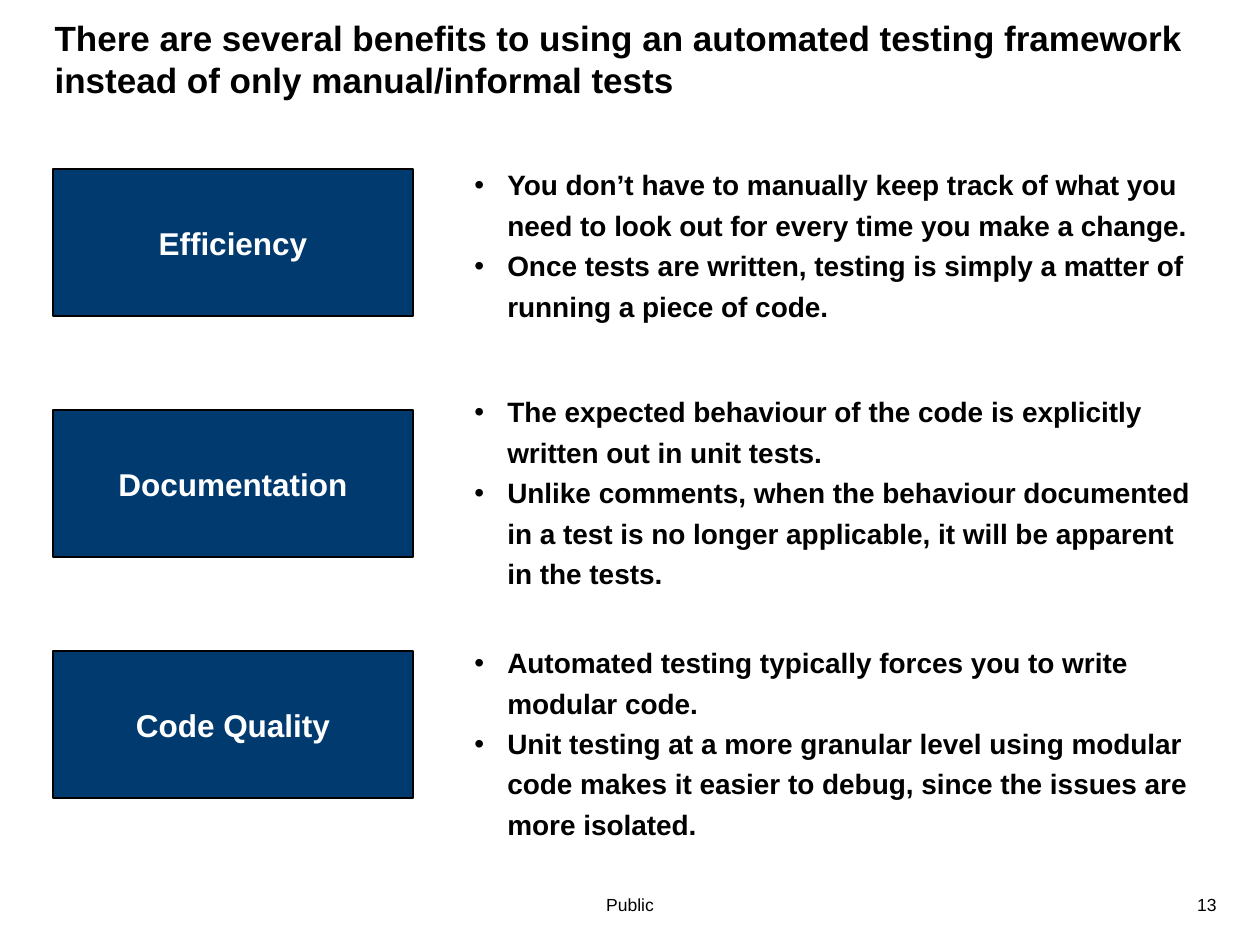
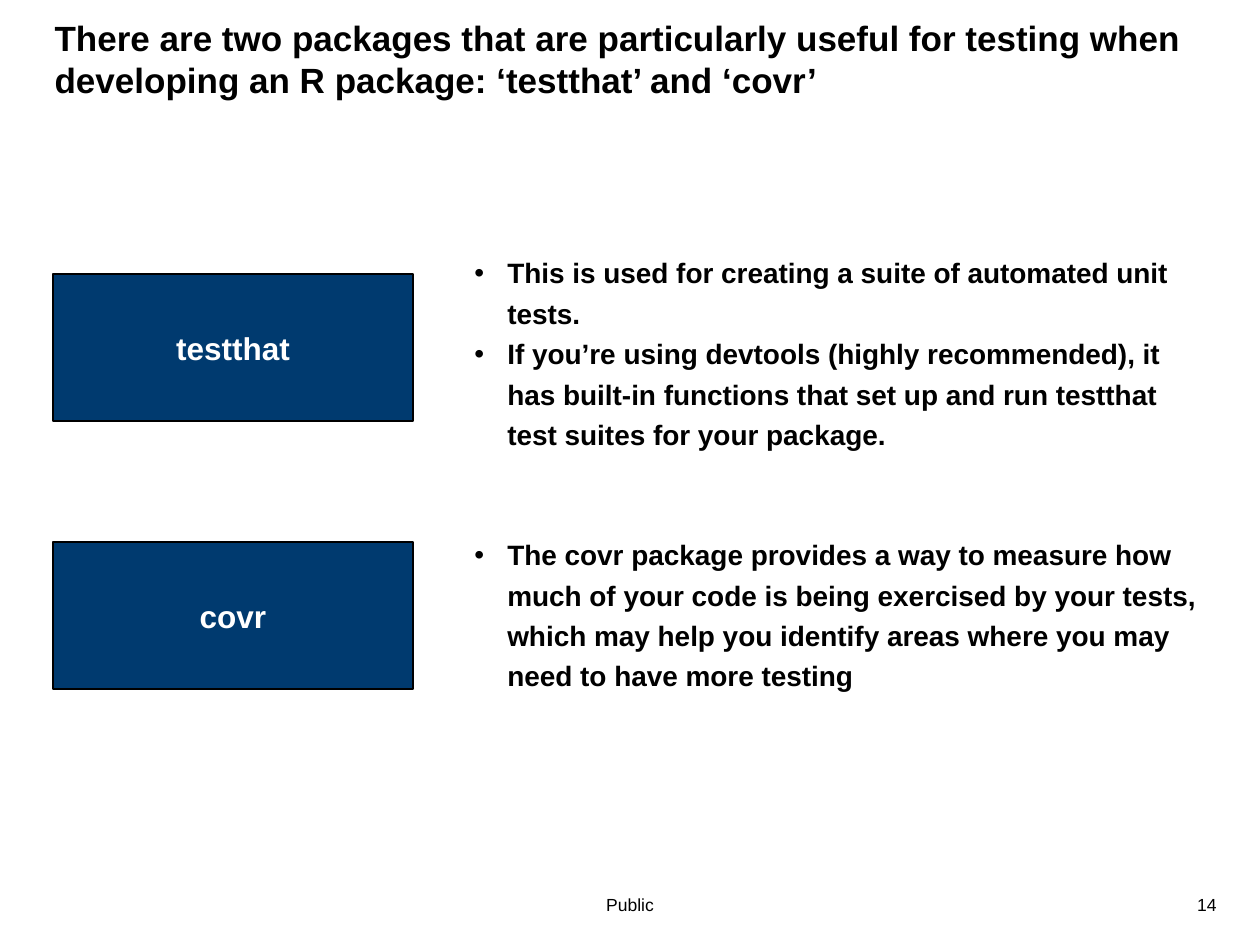
from lxml import etree
from pptx import Presentation, util as u
from pptx.dml.color import RGBColor
from pptx.enum import shapes, text
from pptx.oxml.ns import qn

# Content: each topic is (label, top of its points in px, points)
SLIDES = [
    {
        "title": "There are several benefits to using an automated testing framework "
                 "instead of only manual/informal tests",
        "number": 13, "first_label_top": 169, "label_pitch": 241,
        "topics": [
            ("Efficiency", 155, [
                "You don’t have to manually keep track of what you need to look out "
                "for every time you make a change.",
                "Once tests are written, testing is simply a matter of running a piece of code.",
            ]),
            ("Documentation", 382, [
                "The expected behaviour of the code is explicitly written out in unit tests.",
                "Unlike comments, when the behaviour documented in a test is no longer "
                "applicable, it will be apparent in the tests.",
            ]),
            ("Code Quality", 633, [
                "Automated testing typically forces you to write modular code.",
                "Unit testing at a more granular level using modular code makes it easier "
                "to debug, since the issues are more isolated.",
            ]),
        ],
    },
    {
        "title": "There are two packages that are particularly useful for testing when "
                 "developing an R package: ‘testthat’ and ‘covr’",
        "number": 14, "first_label_top": 274, "label_pitch": 268,
        "topics": [
            ("testthat", 243, [
                "This is used for creating a suite of automated unit tests.",
                "If you’re using devtools (highly recommended), it has built-in functions "
                "that set up and run testthat test suites for your package.",
            ]),
            ("covr", 525, [
                "The covr package provides a way to measure how much of your code is being "
                "exercised by your tests, which may help you identify areas where you may "
                "need to have more testing",
            ]),
        ],
    },
]
FOOTER = "Public"

# Shared style
COLORS = {"label": "003A6F", "ink": "000000", "paper": "FFFFFF"}
FONT = "Arial"
EMU_PER_PX = 914400 / 126
SLIDE_SIZE = (1260, 945)
TITLE_BOX = (42, 10, 1163, 97)
FOOTER_BOX = (252, 888, 756, 34)
NUMBER_BOX = (1172, 888, 57, 34)
LABEL_LEFT, LABEL_WIDTH, LABEL_HEIGHT = 53, 360, 147
POINTS_LEFT, POINTS_WIDTH, POINTS_HEIGHT = 462, 756, 200
POINT_INDENT = 33
ALIGN = text.PP_ALIGN


def px(length):
    return u.Emu(round(length * EMU_PER_PX))


def color(name):
    return RGBColor.from_string(COLORS[name])


def style(frame, size, ink="ink", bold=False, align=ALIGN.LEFT):
    frame.word_wrap = True
    for paragraph in frame.paragraphs:
        paragraph.alignment = align
        for run in paragraph.runs:
            run.font.name, run.font.size, run.font.bold = FONT, u.Pt(size), bold
            run.font.color.rgb = color(ink)


def add_title(slide, wording):
    title = slide.shapes.title
    title.left, title.top, title.width, title.height = map(px, TITLE_BOX)
    frame = title.text_frame
    frame.text = wording
    frame.vertical_anchor = text.MSO_ANCHOR.TOP
    frame.auto_size = text.MSO_AUTO_SIZE.NONE
    style(frame, 20, bold=True)


def add_small_text(slide, box, wording, align):
    frame = slide.shapes.add_textbox(*map(px, box)).text_frame
    frame.text = wording
    style(frame, 10, align=align)


def add_label(slide, top, wording):
    label = slide.shapes.add_shape(
        shapes.MSO_SHAPE.RECTANGLE,
        *map(px, (LABEL_LEFT, top, LABEL_WIDTH, LABEL_HEIGHT)))
    label.shadow.inherit = False
    label.fill.solid()
    label.fill.fore_color.rgb = color("label")
    label.line.color.rgb = color("ink")
    label.line.width = u.Pt(0.75)
    frame = label.text_frame
    frame.text = wording
    frame.vertical_anchor = text.MSO_ANCHOR.MIDDLE
    frame.margin_left = frame.margin_right = u.Inches(0.05)
    style(frame, 18, "paper", True, ALIGN.CENTER)


def add_points(slide, top, points):
    box = slide.shapes.add_textbox(
        *map(px, (POINTS_LEFT, top, POINTS_WIDTH, POINTS_HEIGHT)))
    frame = box.text_frame
    frame.text = "\n".join(points)
    style(frame, 16, bold=True)
    for paragraph in frame.paragraphs:
        paragraph.line_spacing = 1.2
        paragraph.space_before = u.Pt(0.2)
        # Hanging bullet
        props = paragraph._p.get_or_add_pPr()
        props.set("marL", str(px(POINT_INDENT)))
        props.set("indent", str(-px(POINT_INDENT)))
        etree.SubElement(props, qn("a:buFont")).set("typeface", FONT)
        etree.SubElement(props, qn("a:buChar")).set("char", "•")


def main():
    prs = Presentation()
    prs.slide_width, prs.slide_height = map(px, SLIDE_SIZE)
    title_only = prs.slide_layouts[5]
    for content in SLIDES:
        slide = prs.slides.add_slide(title_only)
        add_title(slide, content["title"])
        for row, (label, points_top, points) in enumerate(content["topics"]):
            add_label(slide, content["first_label_top"] + row * content["label_pitch"], label)
            add_points(slide, points_top, points)
        add_small_text(slide, FOOTER_BOX, FOOTER, ALIGN.CENTER)
        add_small_text(slide, NUMBER_BOX, str(content["number"]), ALIGN.RIGHT)
    prs.save("out.pptx")


if __name__ == "__main__":
    main()
